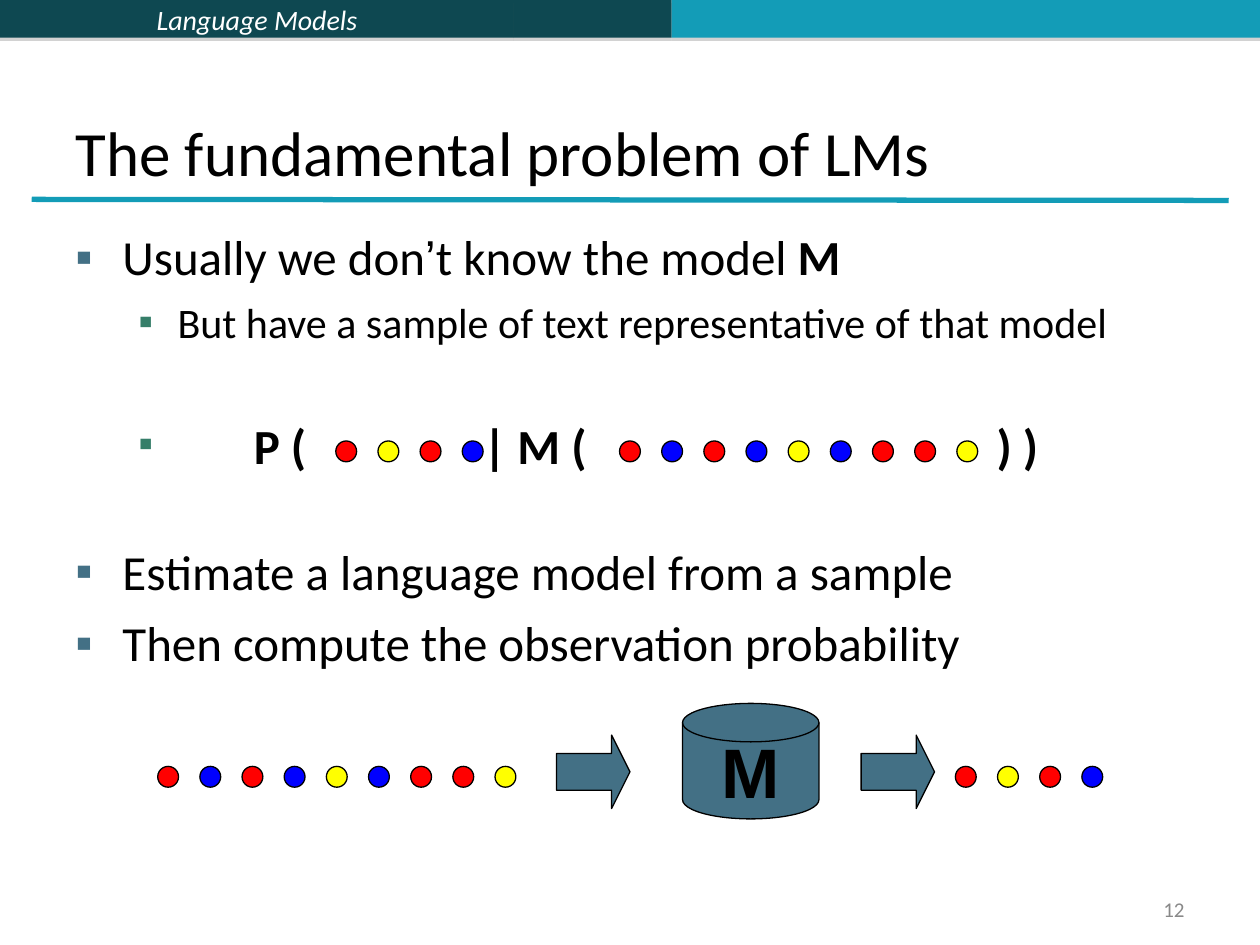
import dataclasses

import pptx
import pptx.dml.color
import pptx.enum.shapes
import pptx.enum.text
import pptx.oxml
import pptx.oxml.ns
import pptx.util

Cm = pptx.util.Cm
Pt = pptx.util.Pt
Shape = pptx.enum.shapes.MSO_SHAPE
Align = pptx.enum.text.PP_ALIGN
Anchor = pptx.enum.text.MSO_ANCHOR
NAMESPACE = pptx.oxml.ns.nsdecls("a")


@dataclasses.dataclass(frozen=True)
class Theme:
    font: str = "Calibri"
    symbol_font: str = "Arial"
    ink: str = "000000"
    paper: str = "FFFFFF"
    dark: str = "0E4851"
    accent: str = "139CB7"
    steel: str = "437085"
    green: str = "357E69"
    muted: str = "898989"
    shadow: str = "808080"
    title: int = 36
    main: int = 28
    sub: int = 24
    header: int = 16
    number: int = 12
    model: int = 40


THEME = Theme()

TITLE = "The fundamental problem of LMs"
SLIDE_NUMBER = "12"
FORMULA = [("P (", 4.87, 2), ("| M (", 9.49, 3), (") )", 19.84, 2)]
HEADER_BARS = [
    ("Language Models", 10.36, THEME.dark),
    ("", 3.18, THEME.dark),
    ("", 11.86, THEME.accent),
]

MAIN = dict(size=THEME.main, before=7, margin=0.95, hang=0.95, bullet=THEME.steel)
SUB = dict(size=THEME.sub, before=6, margin=2.06, hang=0.79, bullet=THEME.green, level=1)
LONE_MARK = dict(size=THEME.sub, before=39.3, margin=1.27, color=THEME.green,
                 font=THEME.symbol_font, level=1)
BODY = [
    ([("Usually we don", {}), ("’", {"font": THEME.symbol_font}),
      ("t know the model ", {}), ("M", {"bold": True})], MAIN),
    ("But have a sample of text representative of that model", SUB),
    ("▪", LONE_MARK),
    ("Estimate a language model from a sample", MAIN | {"before": 43.3}),
    ("Then compute the observation probability", MAIN),
]

DOT_COLORS = {"R": "FF0000", "Y": "FFFF00", "B": "0000FF"}
DOT_SIZE, DOT_PITCH = 0.42, 0.85
OBSERVATION, SAMPLE = "RYRB", "RBRBYBRRY"
DOT_ROWS = [
    (OBSERVATION, 6.77, 8.89),
    (SAMPLE, 12.49, 8.89),
    (SAMPLE, 3.18, 15.45),
    (OBSERVATION, 19.26, 15.45),
]
ARROW_LEFTS = (11.22, 17.36)


def color_of(value):
    return pptx.dml.color.RGBColor.from_string(value)


def add_xml(parent, markup):
    parent.append(pptx.oxml.parse_xml(markup))


def write(frame, text, size=THEME.main, color=THEME.ink, font=THEME.font, bold=False,
          italic=False, align=Align.LEFT, anchor=None, before=0, margin=0, hang=0,
          bullet=None, level=0, wrap=True, extend=False):
    frame.word_wrap = wrap
    if anchor is not None:
        frame.vertical_anchor = anchor
    para = frame.add_paragraph() if extend else frame.paragraphs[0]
    para.alignment = align
    para.level = level
    para.space_before = Pt(before)
    properties = para._p.get_or_add_pPr()
    properties.set("marL", str(Cm(margin)))
    properties.set("indent", str(-Cm(hang)))
    if bullet:
        add_xml(properties, f'<a:buClr {NAMESPACE}><a:srgbClr val="{bullet}"/></a:buClr>')
        add_xml(properties, f'<a:buFont {NAMESPACE} typeface="{THEME.symbol_font}"/>')
        add_xml(properties, f'<a:buChar {NAMESPACE} char="▪"/>')
    else:
        add_xml(properties, f"<a:buNone {NAMESPACE}/>")
    for words, changes in [(text, {})] if isinstance(text, str) else text:
        span = para.add_run()
        span.text = words
        span.font.name = changes.get("font", font)
        span.font.size = Pt(size)
        span.font.bold = changes.get("bold", bold)
        span.font.italic = italic
        span.font.color.rgb = color_of(color)


def add_box(page, left, top, width, height):
    box = page.shapes.add_textbox(Cm(left), Cm(top), Cm(width), Cm(height))
    return box.text_frame


def add_figure(page, kind, left, top, width, height, fill, outlined=True):
    figure = page.shapes.add_shape(kind, Cm(left), Cm(top), Cm(width), Cm(height))
    figure.shadow.inherit = False
    figure.fill.solid()
    figure.fill.fore_color.rgb = color_of(fill)
    if outlined:
        figure.line.color.rgb = color_of(THEME.ink)
        figure.line.width = Pt(0.75)
    else:
        figure.line.fill.background()
    return figure


def add_header(page):
    left = 0
    for label, width, fill in HEADER_BARS:
        bar = add_figure(page, Shape.RECTANGLE, left, 0, width, 0.76, fill, outlined=False)
        effects = bar._element.spPr.find(pptx.oxml.ns.qn("a:effectLst"))
        add_xml(effects, f'<a:outerShdw {NAMESPACE} blurRad="0" dist="{Pt(1.8)}" dir="5400000">'
                         f'<a:srgbClr val="{THEME.shadow}"><a:alpha val="35000"/></a:srgbClr>'
                         "</a:outerShdw>")
        if label:
            write(bar.text_frame, label, size=THEME.header, color=THEME.paper, italic=True,
                  align=Align.CENTER, anchor=Anchor.MIDDLE)
        left += width


def add_title(page):
    title = page.shapes.title
    title.left, title.top, title.width, title.height = Cm(1.27), Cm(0.76), Cm(22.86), Cm(3.18)
    write(title.text_frame, TITLE, size=THEME.title, anchor=Anchor.BOTTOM)
    rule = page.shapes.add_connector(pptx.enum.shapes.MSO_CONNECTOR.STRAIGHT,
                                     Cm(0.64), Cm(4.02), Cm(24.77), Cm(4.04))
    rule.line.color.rgb = color_of(THEME.accent)
    rule.line.width = Pt(3)
    add_xml(rule._element.spPr, f"<a:effectLst {NAMESPACE}/>")


def add_dots(page):
    for sequence, left, top in DOT_ROWS:
        for index, letter in enumerate(sequence):
            add_figure(page, Shape.OVAL, left + index * DOT_PITCH, top,
                       DOT_SIZE, DOT_SIZE, DOT_COLORS[letter])


def add_model(page):
    disk = add_figure(page, Shape.FLOWCHART_MAGNETIC_DISK, 13.76, 14.18, 2.75, 2.33, THEME.steel)
    write(disk.text_frame, "M", size=THEME.model, font=THEME.symbol_font, bold=True,
          align=Align.CENTER, anchor=Anchor.MIDDLE, wrap=False)
    for left in ARROW_LEFTS:
        arrow = add_figure(page, Shape.RIGHT_ARROW, left, 14.82, 1.48, 1.48, THEME.steel)
        arrow.adjustments[0], arrow.adjustments[1] = 0.5, 0.25


def main():
    deck = pptx.Presentation()
    deck.slide_width, deck.slide_height = Cm(25.4), Cm(19.05)
    page = deck.slides.add_slide(deck.slide_layouts[5])
    add_header(page)
    add_title(page)
    body = add_box(page, 1.27, 4.45, 22.86, 13.54)
    for index, (text, style) in enumerate(BODY):
        write(body, text, extend=index > 0, **style)
    for text, left, width in FORMULA:
        write(add_box(page, left, 8.26, width, 1.48), text, bold=True, wrap=False)
    add_dots(page)
    add_model(page)
    write(add_box(page, 18.2, 17.98, 5.93, 0.69), SLIDE_NUMBER, size=THEME.number,
          color=THEME.muted, align=Align.RIGHT, anchor=Anchor.MIDDLE)
    deck.save("out.pptx")


if __name__ == "__main__":
    main()
